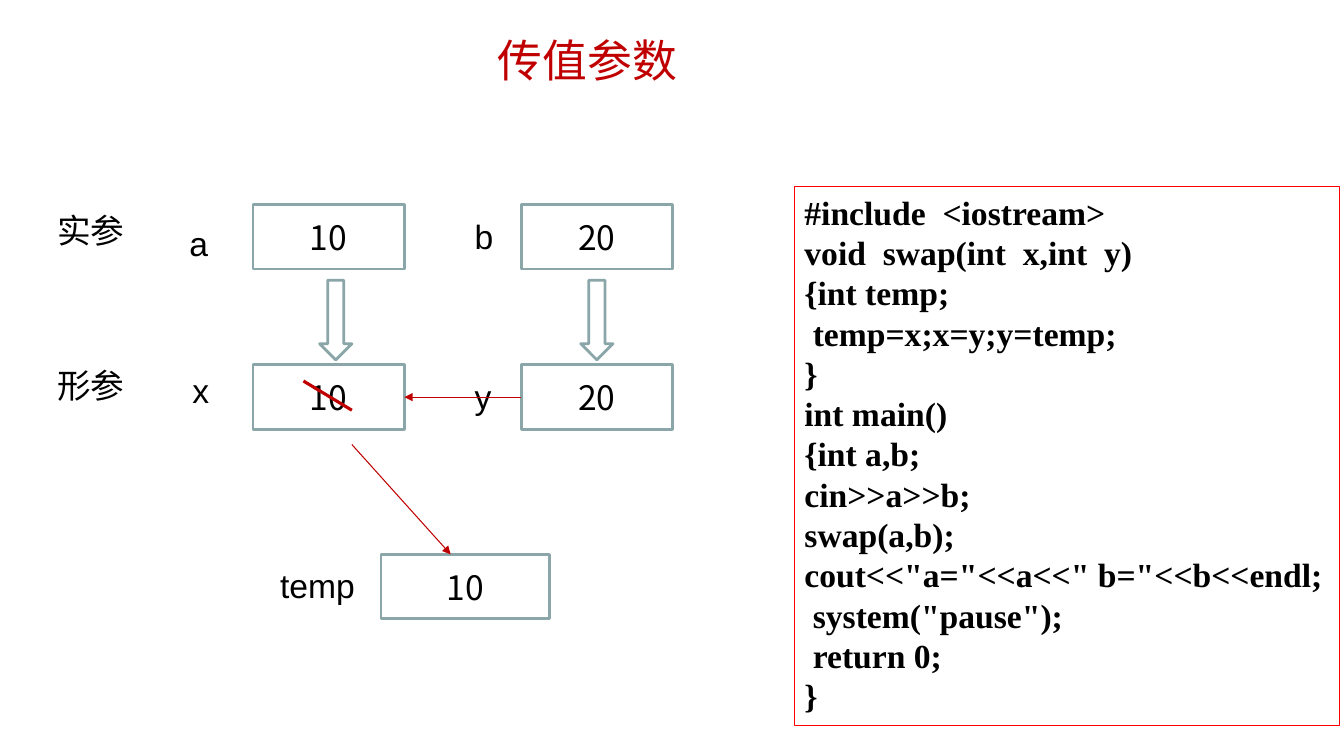
from dataclasses import dataclass

from lxml.etree import SubElement
from pptx import Presentation
from pptx.dml.color import RGBColor
from pptx.enum.shapes import MSO_CONNECTOR as Connector, MSO_SHAPE as Shape
from pptx.enum.text import MSO_ANCHOR as Anchor, PP_ALIGN as Align
from pptx.oxml.ns import qn
from pptx.util import Inches, Pt


@dataclass(frozen=True)
class Theme:
    black: RGBColor = RGBColor(0x00, 0x00, 0x00)
    crimson: RGBColor = RGBColor(0xC0, 0x00, 0x00)
    red: RGBColor = RGBColor(0xFF, 0x00, 0x00)
    teal: RGBColor = RGBColor(0x8A, 0xA6, 0xA8)
    title_size: Pt = Pt(32)
    body_size: Pt = Pt(24)
    label_font: str = "Arial"
    cjk_font: str = "Noto Sans CJK SC"
    code_font: str = "Times New Roman"


theme = Theme()


def write(shape, text, font, align=Align.LEFT, size=theme.body_size,
          color=theme.black, bold=False):
    """Fill a shape with text, one paragraph per line, in a single style."""
    frame = shape.text_frame
    frame.word_wrap = True
    frame.text = text
    for para in frame.paragraphs:
        para.alignment = align
        for span in para.runs:
            span.font.name = font
            span.font.size = size
            span.font.bold = bold
            span.font.color.rgb = color
            SubElement(span.font._element, qn("a:ea"), typeface=theme.cjk_font)


def outline(kind, left, top, width, height, color=theme.teal, weight=2):
    """Add an unfilled, shadowless preset shape."""
    shape = page.shapes.add_shape(kind, Inches(left), Inches(top),
                                  Inches(width), Inches(height))
    shape.shadow.inherit = False
    shape.fill.background()
    shape.line.color.rgb = color
    shape.line.width = Pt(weight)
    return shape


deck = Presentation()
deck.slide_width, deck.slide_height = Inches(13.33), Inches(7.5)
page = deck.slides.add_slide(deck.slide_layouts[6])

# Title and labels
title = page.shapes.add_textbox(Inches(4.84), Inches(0.28), Inches(2.17), Inches(0.64))
write(title, "传值参数", theme.cjk_font, size=theme.title_size, color=theme.crimson)

labels = [
    ("实参", 0.47, 2.03, 0.93),
    ("形参", 0.47, 3.57, 0.93),
    ("a", 1.78, 2.16, 0.57),
    ("b", 4.61, 2.09, 0.57),
    ("x", 1.81, 3.62, 0.57),
    ("y", 4.61, 3.68, 0.57),
    ("temp", 2.68, 5.56, 1),
]
for text, left, top, width in labels:
    label = page.shapes.add_textbox(Inches(left), Inches(top), Inches(width), Inches(0.5))
    write(label, text, theme.label_font)

# Variables: arguments above, parameters below, temp at the bottom
variables = {
    "a": ("10", 2.51, 2.03, 1.5),
    "b": ("20", 5.17, 2.03, 1.5),
    "x": ("10", 2.51, 3.62, 1.5),
    "y": ("20", 5.17, 3.62, 1.5),
    "temp": ("10", 3.78, 5.5, 1.67),
}
boxes = {}
for name, (value, left, top, width) in variables.items():
    box = outline(Shape.RECTANGLE, left, top, width, 0.64)
    box.text_frame.vertical_anchor = Anchor.MIDDLE
    write(box, value, theme.cjk_font, Align.CENTER)
    boxes[name] = box

for left in (3.17, 5.76):
    outline(Shape.DOWN_ARROW, left, 2.78, 0.32, 0.79)

# Program listing
code = """#include  <iostream>
void  swap(int  x,int  y)
{int temp;
 temp=x;x=y;y=temp;
}
int main()
{int a,b;
cin>>a>>b;
swap(a,b);
cout<<"a="<<a<<" b="<<b<<endl;
 system("pause");
 return 0;
}"""
listing = outline(Shape.RECTANGLE, 7.88, 1.85, 5.41, 5.35, theme.red, 0.75)
listing.text_frame.vertical_anchor = Anchor.TOP
write(listing, code, theme.code_font, bold=True)
indent = Inches(0.38)
for para in listing.text_frame.paragraphs:
    properties = para._p.get_or_add_pPr()
    properties.set("marL", str(indent))
    properties.set("indent", str(-indent))

# Moves between variables, and the stroke through the old value of x
lines = [
    (3.49, 4.41, 4.47, 5.5, 0.75, True),
    (5.17, 3.94, 4.01, 3.94, 0.75, True),
    (3.01, 3.78, 3.49, 4.07, 2.25, False),
]
connectors = []
for x1, y1, x2, y2, weight, has_head in lines:
    connector = page.shapes.add_connector(
        Connector.STRAIGHT, Inches(x1), Inches(y1), Inches(x2), Inches(y2))
    connector.line.color.rgb = theme.crimson
    connector.line.width = Pt(weight)
    if has_head:
        SubElement(connector.line._get_or_add_ln(), qn("a:tailEnd"), type="triangle")
    SubElement(connector._element.spPr, qn("a:effectLst"))
    connectors.append(connector)

to_temp, y_to_x, strike = connectors
y_to_x.begin_connect(boxes["y"], 1)
y_to_x.end_connect(boxes["x"], 3)

deck.save("out.pptx")
